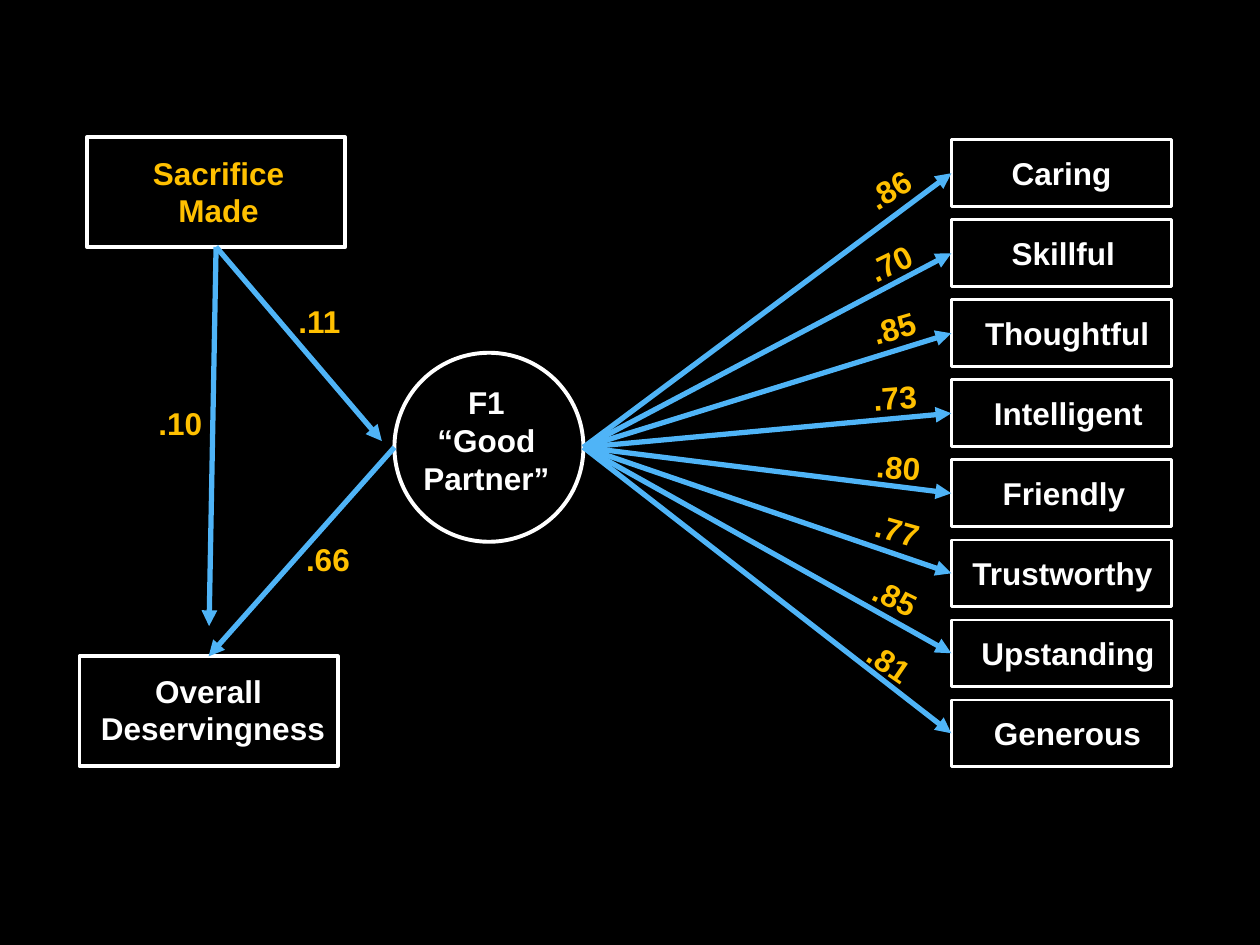
from dataclasses import dataclass

from lxml.etree import SubElement
from pptx import Presentation
from pptx.dml.color import RGBColor as Color
from pptx.enum.shapes import MSO_CONNECTOR as Connector, MSO_SHAPE as Shape
from pptx.enum.text import MSO_AUTO_SIZE as AutoSize, PP_ALIGN as Align
from pptx.oxml.ns import qn
from pptx.util import Pt

TOP, LEFT, BOTTOM = 0, 1, 2


@dataclass(frozen=True)
class Theme:
    ground: Color = Color(0x00, 0x00, 0x00)
    ink: Color = Color(0xFF, 0xFF, 0xFF)
    accent: Color = Color(0xFF, 0xC0, 0x00)
    arrow: Color = Color(0x4F, 0xB4, 0xF7)
    font: str = "Arial"
    size: float = 18
    thin: float = 1.5
    medium: float = 2.25
    thick: float = 3


class PathDiagram:
    """Draw the outlines, labels and arrows of a path diagram on one slide."""

    def __init__(self, slide, theme):
        self.slide = slide
        self.theme = theme
        fill = slide.background.fill
        fill.solid()
        fill.fore_color.rgb = theme.ground

    def outline(self, kind, left, top, width, height, weight):
        shape = self.slide.shapes.add_shape(kind, Pt(left), Pt(top), Pt(width), Pt(height))
        shape.shadow.inherit = False
        shape.fill.background()
        shape.line.color.rgb = self.theme.ink
        shape.line.width = Pt(weight)
        return shape

    def label(self, lines, left, top, width, height=28.8, color=None,
              align=Align.LEFT, wrap=True, rotation=0):
        box = self.slide.shapes.add_textbox(Pt(left), Pt(top), Pt(width), Pt(height))
        box.rotation = rotation
        frame = box.text_frame
        frame.word_wrap = wrap
        frame.auto_size = AutoSize.SHAPE_TO_FIT_TEXT
        formats = {"name": self.theme.font, "size": Pt(self.theme.size), "bold": True}
        for index, line in enumerate(lines):
            para = frame.add_paragraph() if index else frame.paragraphs[0]
            para.alignment = align
            span = para.add_run()
            span.text = line
            for key, value in formats.items():
                setattr(span.font, key, value)
            span.font.color.rgb = color or self.theme.ink

    def weight(self, text, left, top, width=59.8, rotation=0):
        self.label([text], left, top, width, color=self.theme.accent, rotation=rotation)

    def arrow(self, start, end, source=None, target=None):
        line = self.slide.shapes.add_connector(
            Connector.STRAIGHT, *(Pt(value) for value in (*start, *end)))
        if source:
            line.begin_connect(*source)
        if target:
            line.end_connect(*target)
        line.line.color.rgb = self.theme.arrow
        line.line.width = Pt(self.theme.thick)
        properties = line.element.spPr
        SubElement(properties.find(qn("a:ln")), qn("a:tailEnd"), type="triangle")
        SubElement(properties, qn("a:effectLst"))


TRAITS = [
    ("Caring", 571, 72, ".86", 488.2, 92.2, 328.1),
    ("Skillful", 571, 74.2, ".70", 488.9, 134.6, 334.1),
    ("Thoughtful", 555.8, 109.4, ".85", 491, 172.1, 343.5),
    ("Intelligent", 560.9, 100.1, ".73", 491.8, 212.4, 355.6),
    ("Friendly", 565.9, 85, ".80", 493.9, 252.7, 5),
    ("Trustworthy", 548.6, 119.5, ".77", 493.2, 289.4, 15.6),
    ("Upstanding", 553.7, 114.5, ".85", 491.8, 328.3, 26.1),
    ("Generous", 560.9, 99.4, ".81", 488.2, 365.8, 34.5),
]


def draw_traits(diagram, origin):
    first_top, pitch, left, width, height = 79.9, 45.72, 543.6, 126, 38.2
    boxes = []
    for row, (trait, text_left, text_width, *_) in enumerate(TRAITS):
        top = first_top + row * pitch
        boxes.append(diagram.outline(Shape.RECTANGLE, left, top, width, height,
                                     diagram.theme.thin))
        diagram.label([trait], text_left, top + 4.4, text_width, wrap=False)
    for row, box in enumerate(boxes):
        end = (left, first_top + row * pitch + height / 2)
        diagram.arrow(origin, end, target=(box, LEFT))
    for *_, loading, load_left, load_top, rotation in TRAITS:
        diagram.weight(loading, load_left, load_top, 44.6, rotation)


def draw_outcomes(diagram, factor_left):
    theme = diagram.theme
    sacrifice = diagram.outline(Shape.RECTANGLE, 49.7, 78.5, 147.6, 62.6, theme.medium)
    diagram.label(["Sacrifice", "Made"], 79.9, 84.2, 90, 51.1, theme.accent,
                  Align.CENTER, wrap=False)
    overall = diagram.outline(Shape.RECTANGLE, 45.4, 375.1, 147.6, 62.6, theme.medium)
    diagram.label(["Overall ", "Deservingness"], 49.7, 380.2, 144, 51.1,
                  align=Align.CENTER, wrap=False)
    sacrifice_foot, overall_head = (123.5, 141.1), (119.2, 375.1)
    diagram.arrow(factor_left, overall_head, target=(overall, TOP))
    diagram.arrow(sacrifice_foot, (218.2, 252), source=(sacrifice, BOTTOM))
    diagram.arrow(sacrifice_foot, (119.5, 357.8), source=(sacrifice, BOTTOM))
    for text, left, top in ((".66", 167.8, 305.3), (".11", 163.4, 169.2), (".10", 83.5, 227.5)):
        diagram.weight(text, left, top)


def main():
    deck = Presentation()
    deck.slide_width, deck.slide_height = Pt(720), Pt(540)
    diagram = PathDiagram(deck.slides.add_slide(deck.slide_layouts[6]), Theme())
    left, top, diameter = 225.4, 201.6, 108
    middle = top + diameter / 2
    diagram.outline(Shape.OVAL, left, top, diameter, diameter, diagram.theme.medium)
    diagram.label(["F1", "“Good Partner”"], 218.2, 215.3, 119.5, 72.7, align=Align.CENTER)
    draw_traits(diagram, (left + diameter, middle))
    draw_outcomes(diagram, (left, middle))
    deck.save("out.pptx")


if __name__ == "__main__":
    main()
